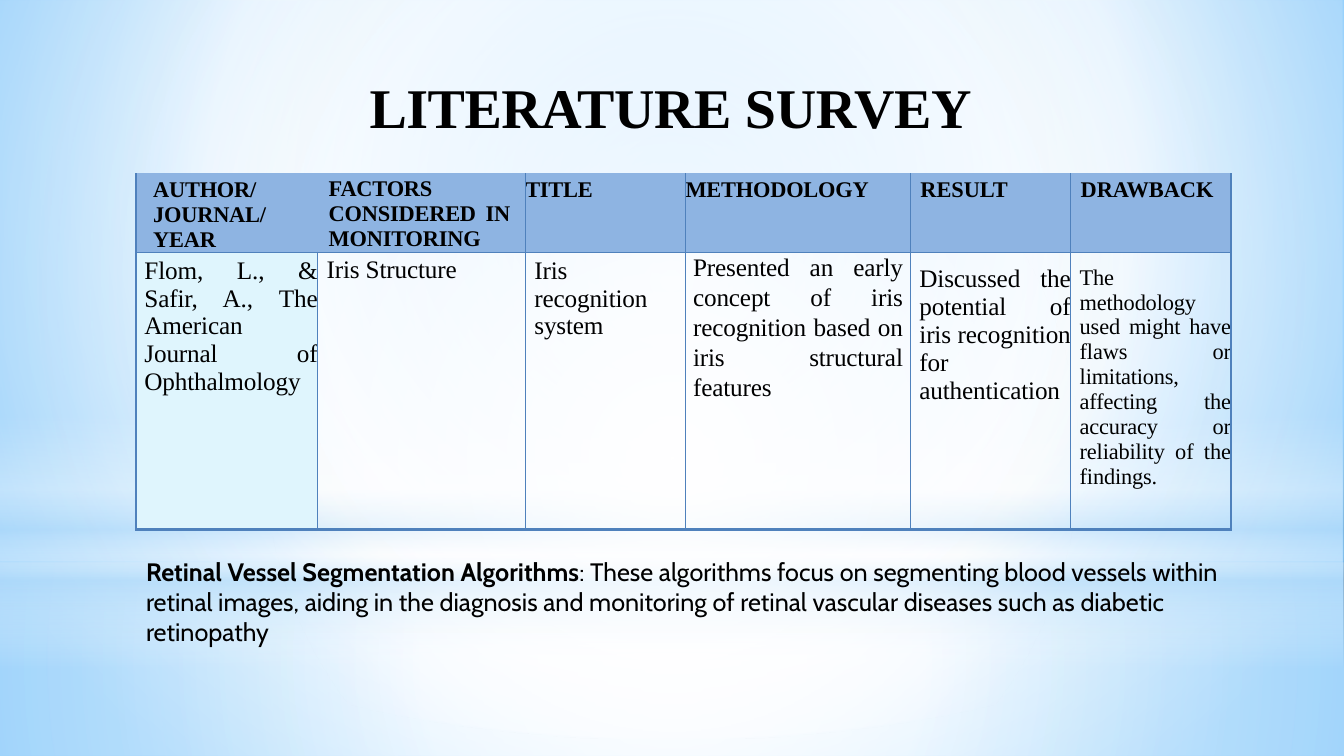
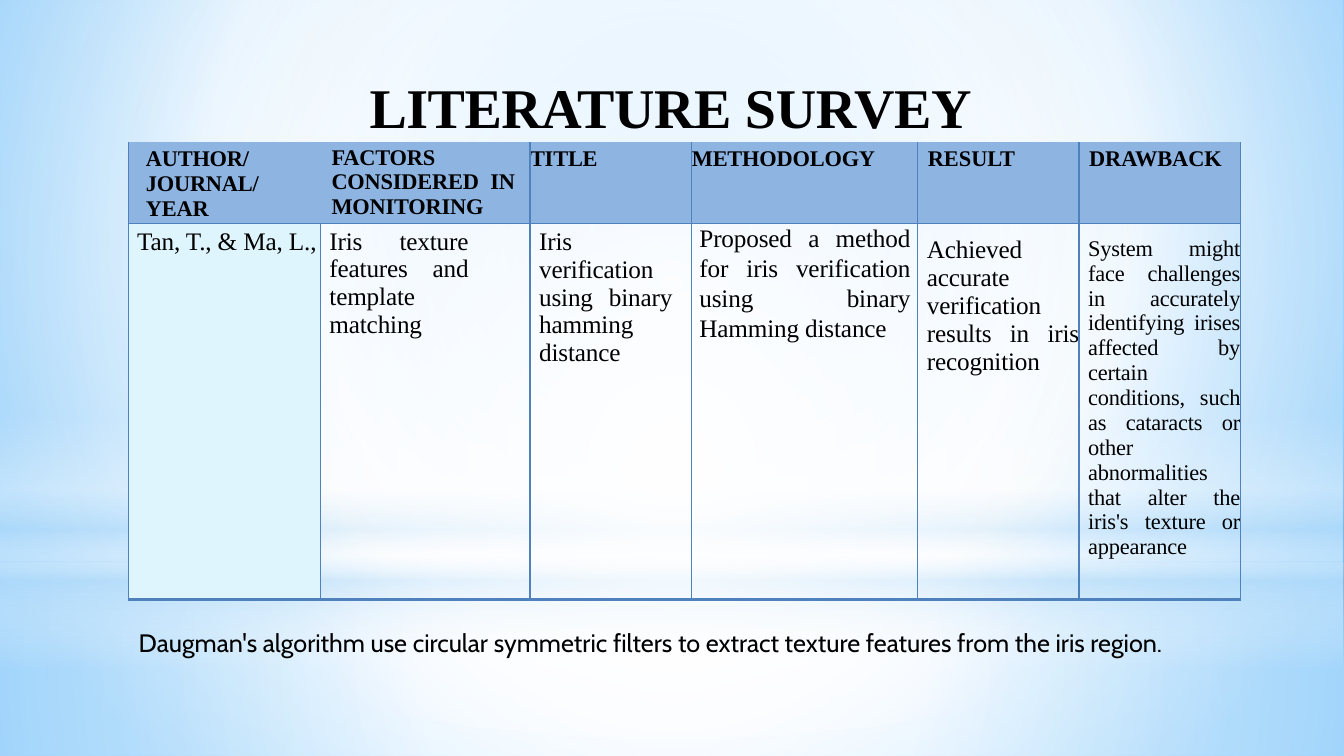
from lxml import etree
from pptx import Presentation
from pptx.dml.color import RGBColor
from pptx.enum.shapes import MSO_SHAPE
from pptx.enum.text import MSO_ANCHOR, MSO_AUTO_SIZE, PP_ALIGN
from pptx.oxml import parse_xml
from pptx.oxml.ns import nsdecls, qn
from pptx.util import Pt

SERIF, SANS = "Times New Roman", "Cabin"
INK, RULE, HEAD, SIDE = "000000", "4F81BC", "8EB4E2", "DFF5FD"
WHITE, SKY = "FFFFFF", "B4DCFA"
WIDE = 960


def grad(root, stops, focus=None):
    """Swap the first solid fill under root for a gradient of (place, colour, alpha) stops."""
    marks = "".join(
        f'<a:gs pos="{at * 1000}"><a:srgbClr val="{tone}">'
        f'<a:alpha val="{alpha * 1000}"/></a:srgbClr></a:gs>'
        for at, tone, alpha in stops)
    if focus:
        sides = " ".join(f'{s}="{v * 1000}"' for s, v in zip("ltrb", focus))
        way = f'<a:path path="circle"><a:fillToRect {sides}/></a:path>'
    else:
        way = '<a:lin ang="5400000" scaled="0"/>'
    old = root.find(".//" + qn("a:solidFill"))
    old.getparent().replace(old, parse_xml(
        f'<a:gradFill {nsdecls("a")} rotWithShape="1">'
        f'<a:gsLst>{marks}</a:gsLst>{way}</a:gradFill>'))


def write(para, text, size, name=SERIF, bold=False, track=0):
    """Add one run; track is the letter spacing in points."""
    run = para.add_run()
    run.text = text
    font = run.font
    font.size, font.name, font.bold = Pt(size), name, bold
    font.color.rgb = RGBColor.from_string(INK)
    if track:
        run._r.get_or_add_rPr().set("spc", str(round(track * 100)))


deck = Presentation()
deck.slide_width, deck.slide_height = Pt(WIDE), Pt(540)
plain = deck.slide_layouts[5]
slides = [deck.slides.add_slide(plain) for _ in range(2)]

# Shared backdrop, kept on the master
master = deck.slide_master
master.background.fill.solid()
master.background.fill.fore_color.rgb = RGBColor.from_string(WHITE)
grad(master.element, [(0, "9ED5FF", 100), (60, WHITE, 100), (100, "5BB9FF", 100)],
     (20, 10, 20, 60))

MID = (50, 50, 50, 50)
bands = [
    (MSO_SHAPE.RECTANGLE, 402, 138,
     [(0, WHITE, 91), (37, WHITE, 76), (100, SKY, 79)], MID),
    (MSO_SHAPE.RECTANGLE, 0, 402,
     [(0, WHITE, 89), (48, WHITE, 62), (100, SKY, 79)], MID),
    (MSO_SHAPE.RECTANGLE, 296.6, 180,
     [(0, WHITE, 0), (29, WHITE, 30), (45, SKY, 40),
      (55, WHITE, 26), (65, SKY, 60), (100, WHITE, 0)], None),
    (MSO_SHAPE.OVAL, 126, 402, [(0, WHITE, 100), (56, WHITE, 0)], MID),
]
for i, (kind, top, high, stops, focus) in enumerate(bands):
    band = slides[0].shapes.add_shape(kind, 0, Pt(top), Pt(WIDE), Pt(high))
    band.shadow.inherit = False
    band.line.fill.background()
    band.fill.solid()
    band.fill.fore_color.rgb = RGBColor.from_string(WHITE)
    grad(band.element, stops, focus)
    band.element.nvSpPr.cNvPr.set("id", str(101 + i))
    master.shapes.element.insert(2 + i, band.element)

# Per column: text, left, top and right inset
heads = [
    ("AUTHOR/ JOURNAL/ YEAR", 12.2, 3.1, 0),
    ("FACTORS CONSIDERED IN MONITORING", 8, 2.1, 10.8),
    ("TITLE", 0, 3.1, 0),
    ("METHODOLOGY", 0, 3.1, 0),
    ("RESULT", 7.2, 3.1, 0),
    ("DRAWBACK", 7.2, 3.1, 0),
]
# Per column: left, top and right inset, text size
body = [(6, 3.1, 0, 18), (6.5, 3, 44, 18), (6.5, 3.1, 14, 18),
        (5.4, 0, 5.4, 18), (6.5, 9.2, 0, 18), (6.5, 9.2, 0, 16)]

# Per slide: table left, top, columns, rows, entries, then note top, height, runs
pages = [
    (97.2, 123.8, [129.6, 148.4, 114.5, 160.6, 114.5, 114.5], [56.2, 198],
     ["Flom, L., & Safir, A., The American Journal of Ophthalmology",
      "Iris Structure",
      "Iris recognition system",
      "Presented an early concept of iris recognition based on iris structural features",
      "Discussed the potential of iris recognition for authentication",
      "The methodology used might have flaws or limitations, affecting the "
      "accuracy or reliability of the findings."],
     393.8, 72.7,
     [("Retinal Vessel Segmentation Algorithms", True),
      (": These algorithms focus on segmenting blood vessels within retinal "
       "images, aiding in the diagnosis and monitoring of retinal vascular "
       "diseases such as diabetic retinopathy", False)]),
    (92, 101.5, [136.8, 149.8, 115.6, 161.4, 115.2, 115.2], [58.1, 268.4],
     ["Tan, T., & Ma, L.,",
      "Iris texture features and template matching",
      "Iris verification using binary hamming distance",
      "Proposed a method for iris verification using binary Hamming distance",
      "Achieved accurate verification results in iris recognition",
      "System might face challenges in accurately identifying irises affected by "
      "certain conditions, such as cataracts or other abnormalities that alter "
      "the iris's texture or appearance"],
     444.2, 51.1,
     [("Daugman's algorithm use circular symmetric filters to extract texture "
       "features from the iris region.", False)]),
]

for slide, page in zip(slides, pages):
    left, top, cols, rows, texts, low, deep, note = page

    title = slide.shapes.title
    title.left, title.top, title.width, title.height = Pt(236), Pt(50), Pt(486), Pt(50)
    frame = title.text_frame
    frame.margin_left = frame.margin_top = frame.margin_right = frame.margin_bottom = 0
    frame.auto_size = MSO_AUTO_SIZE.NONE
    frame.vertical_anchor = MSO_ANCHOR.BOTTOM
    para = frame.paragraphs[0]
    para.alignment = PP_ALIGN.CENTER
    para.space_before = Pt(0)
    write(para, "LITERATURE ", 40, bold=True, track=-0.3)
    write(para, "SURVEY", 40, bold=True, track=-0.2)

    table = slide.shapes.add_table(2, len(cols), Pt(left), Pt(top),
                                   Pt(sum(cols)), Pt(sum(rows))).table
    table.first_row = table.horz_banding = False
    for row, high in zip(table.rows, rows):
        row.height = Pt(high)
    for c, wide in enumerate(cols):
        table.columns[c].width = Pt(wide)
        label, *inset = heads[c]
        *pads, size = body[c]
        cells = [(label, inset, 16, HEAD),
                 (texts[c], pads, size, SIDE if c == 0 else None)]
        for r, (text, (west, north, east), size, tone) in enumerate(cells):
            cell = table.cell(r, c)
            cell.margin_left, cell.margin_top = Pt(west), Pt(north)
            cell.margin_right, cell.margin_bottom = Pt(east), 0

            # The header has no top edge and no rule after its first column
            edges = {"L": 1, "R": 1, "T": 1, "B": 2.25}
            if r == 0:
                edges = {"L": int(c != 1), "R": int(c != 0), "T": 0, "B": 1}
            props = cell._tc.get_or_add_tcPr()
            for side, weight in edges.items():
                line = etree.SubElement(props, qn("a:ln" + side), w=str(Pt(weight)))
                if weight:
                    ink = etree.SubElement(line, qn("a:solidFill"))
                    etree.SubElement(ink, qn("a:srgbClr"), val=RULE)
                else:
                    etree.SubElement(line, qn("a:noFill"))
            if tone:
                cell.fill.solid()
                cell.fill.fore_color.rgb = RGBColor.from_string(tone)
            else:
                cell.fill.background()

            para = cell.text_frame.paragraphs[0]
            para.alignment = PP_ALIGN.JUSTIFY
            if r == 1 and c == 3:
                para.line_spacing = 1.07
            track = -0.1 if r == 1 or c < 4 else 0
            write(para, text, size, bold=r == 0, track=track)

    box = slide.shapes.add_textbox(Pt(left), Pt(low), Pt(sum(cols)), Pt(deep))
    box.text_frame.word_wrap = True
    for text, bold in note:
        write(box.text_frame.paragraphs[0], text, 18, SANS, bold)

deck.save("out.pptx")
